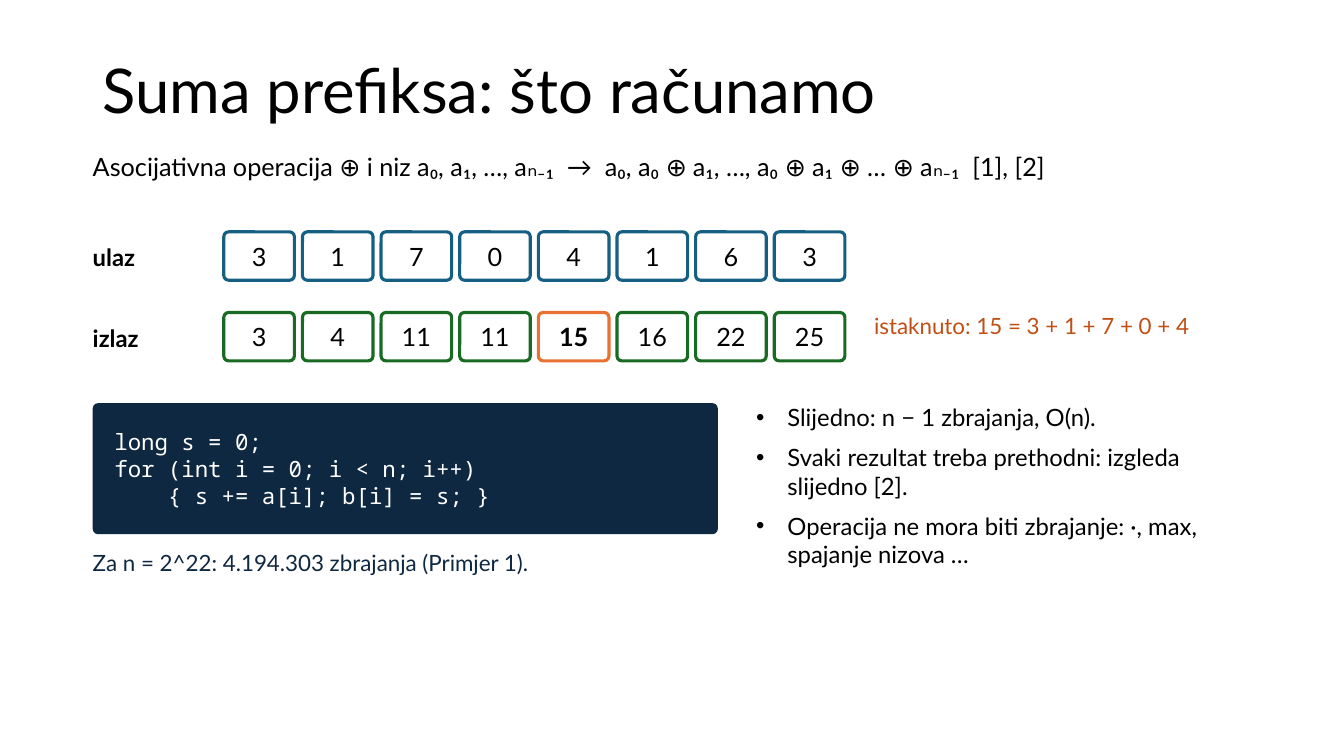
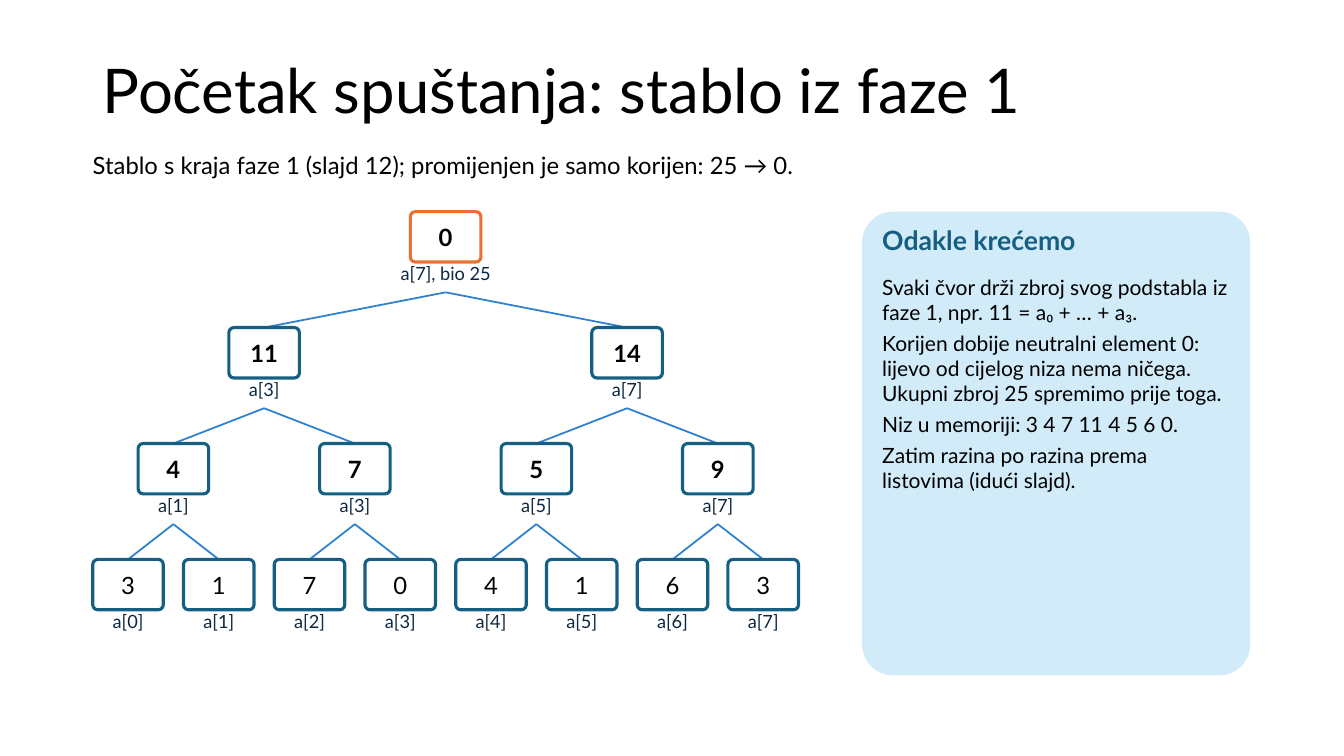
from itertools import accumulate

from lxml import etree
from pptx import Presentation, util as u
from pptx.dml.color import RGBColor
from pptx.enum import shapes, text
from pptx.oxml.ns import qn

PX = 9144  # EMU per px, 100 px to the inch
SANS, MONO = "Lato", "Noto Sans Mono"
COLORS = {
    "ink": "000000", "paper": "FFFFFF", "navy": "0E2841", "teal": "156082",
    "green": "196B24", "orange": "E97132", "rust": "C04F15",
    "link": "2D7FCF", "panel": "D1EBF8",
}
LEFT = 92
CELL_W = 70
ARRAY = [3, 1, 7, 0, 4, 1, 6, 3]
CENTER = text.PP_ALIGN.CENTER
MIDDLE = text.MSO_ANCHOR.MIDDLE


def emu(*lengths):
    return [u.Emu(round(length * PX)) for length in lengths]


def rgb(name):
    return RGBColor.from_string(COLORS[name])


def write(shape, lines, size=17, font=SANS, color="ink", bold=False, align=None,
          anchor=text.MSO_ANCHOR.TOP, insets=(0, 0, 0, 0), after=None,
          spacing=None, bullet_indent=0):
    """Fill a shape with one paragraph per line."""
    frame = shape.text_frame
    frame.word_wrap = True
    frame.vertical_anchor = anchor
    (frame.margin_left, frame.margin_top,
     frame.margin_right, frame.margin_bottom) = emu(*insets)
    lines = [lines] if isinstance(lines, str) else lines
    for i, line in enumerate(lines):
        paragraph = frame.add_paragraph() if i else frame.paragraphs[0]
        if bullet_indent:
            properties = paragraph._p.get_or_add_pPr()
            properties.set("marL", str(bullet_indent * PX))
            properties.set("indent", str(-bullet_indent * PX))
            etree.SubElement(properties, qn("a:buFont"), typeface="Arial")
            etree.SubElement(properties, qn("a:buChar"), char="•")
        paragraph.alignment = align or text.PP_ALIGN.LEFT
        if after:
            paragraph.space_after = u.Pt(after)
        if spacing:
            paragraph.line_spacing = spacing
        run = paragraph.add_run()
        run.text = line
        run.font.name, run.font.size, run.font.bold = font, u.Pt(size), bold
        run.font.color.rgb = rgb(color)


def add_text(slide, box, lines, **fmt):
    label = slide.shapes.add_textbox(*emu(*box))
    write(label, lines, **fmt)
    return label


def add_rounded(slide, box, radius, fill, line=None):
    card = slide.shapes.add_shape(shapes.MSO_SHAPE.ROUNDED_RECTANGLE, *emu(*box))
    card.adjustments[0] = radius
    card.shadow.inherit = False
    card.fill.solid()
    card.fill.fore_color.rgb = rgb(fill)
    if line:
        card.line.color.rgb = rgb(line)
        card.line.width = u.Pt(2.25)
    else:
        card.line.fill.background()
    return card


def add_cell(slide, box, value, line, **fmt):
    cell = add_rounded(slide, box, 0.1, "paper", line)
    write(cell, str(value), align=CENTER, anchor=MIDDLE, insets=(3, 5, 3, 5), **fmt)
    return cell


def add_link(slide, label, x, y, end_x, end_y):
    link = slide.shapes.add_connector(shapes.MSO_CONNECTOR.STRAIGHT,
                                      *emu(x, y, end_x, end_y))
    link.begin_connect(label, 2)
    link.line.color.rgb = rgb("link")
    link.line.width = u.Pt(1.25)
    etree.SubElement(link._element.spPr, qn("a:effectLst"))
    return link


def add_titled_slide(deck, title, lead, lead_size):
    slide = deck.slides.add_slide(deck.slide_layouts[6])
    add_text(slide, (LEFT, 40, 1150, 106), title, size=44, anchor=MIDDLE,
             insets=(10, 5, 10, 5), spacing=0.9)
    add_text(slide, (LEFT, 150, 1150, 50), lead, size=lead_size)
    return slide


def add_array_row(slide, x, y, name, values, line, highlight=None):
    add_text(slide, (x, y, 130, 50), name, bold=True, anchor=MIDDLE)
    for i, value in enumerate(values):
        marked = i == highlight
        add_cell(slide, (x + 130 + i * (CELL_W + 8), y, CELL_W, 48), value,
                 "orange" if marked else line, size=18, bold=marked)


def add_code(slide, box, lines):
    block = add_rounded(slide, box, 0.04, "navy")
    write(block, lines, size=16, font=MONO, color="paper", anchor=MIDDLE,
          insets=(20, 5, 10, 5))


def add_tree(slide, x, y, leaves):
    """Sum tree, drawn level by level, with the root reset to 0."""
    pitch, cell_h, label_h, level_h = 90, 50, 30, 115
    count = len(leaves)
    tree_left = x + (CELL_W - pitch) / 2
    links = []
    for level in range(count.bit_length()):
        nodes = 2 ** level
        group = count // nodes
        step = pitch * group
        top = y + level * level_h
        label_top = top + cell_h
        is_root, is_leaf = level == 0, group == 1
        next_links = []
        for i in range(nodes):
            center = tree_left + step * (i + 0.5)
            total = sum(leaves[i * group:(i + 1) * group])
            cell = add_cell(slide, (center - CELL_W / 2, top, CELL_W, cell_h),
                            0 if is_root else total,
                            "orange" if is_root else "teal", bold=not is_leaf)
            if links:
                links[i].end_connect(cell, 0)
            name = f"a[{(i + 1) * group - 1}]"
            label = add_text(slide, (center - 50, label_top, 100, label_h),
                             f"{name}, bio {total}" if is_root else name,
                             size=13, color="navy", align=CENTER)
            if not is_leaf:
                next_links += [
                    add_link(slide, label, center, label_top + label_h,
                             center + side * step / 4, top + level_h)
                    for side in (-1, 1)]
        links = next_links


def add_panel(slide, box, heading, lines):
    x, y, w, h = box
    add_rounded(slide, box, 0.08, "panel")
    add_text(slide, (x + 20, y + 12, w - 40, 45), heading,
             size=19, color="teal", bold=True)
    add_text(slide, (x + 20, y + 62, w - 40, h - 70), lines, size=15, after=4)


def build_prefix_slide(deck):
    slide = add_titled_slide(
        deck, "Suma prefiksa: što računamo",
        "Asocijativna operacija ⊕ i niz a₀, a₁, …, aₙ₋₁  →  "
        "a₀, a₀ ⊕ a₁, …, a₀ ⊕ a₁ ⊕ … ⊕ aₙ₋₁  [1], [2]", 18)
    # Input and its prefix sums
    add_array_row(slide, LEFT, 230, "ulaz", ARRAY, "teal")
    add_array_row(slide, LEFT, 310, "izlaz", accumulate(ARRAY), "green", highlight=4)
    add_text(slide, (867, 310, 370, 50), "istaknuto: 15 = 3 + 1 + 7 + 0 + 4",
             size=16, color="rust")
    # Sequential code and remarks
    add_code(slide, (LEFT, 400, 620, 130), [
        "long s = 0;",
        "for (int i = 0; i < n; i++)",
        "    { s += a[i]; b[i] = s; }"])
    add_text(slide, (750, 400, 490, 260), [
        "Slijedno: n − 1 zbrajanja, O(n).",
        "Svaki rezultat treba prethodni: izgleda slijedno [2].",
        "Operacija ne mora biti zbrajanje: ·, max, spajanje nizova …"],
        after=8, bullet_indent=31)
    add_text(slide, (LEFT, 545, 620, 100),
             "Za n = 2^22: 4.194.303 zbrajanja (Primjer 1).", size=16, color="navy")


def build_tree_slide(deck):
    slide = add_titled_slide(
        deck, "Početak spuštanja: stablo iz faze 1",
        "Stablo s kraja faze 1 (slajd 12); promijenjen je samo korijen: 25 → 0.", 17)
    add_tree(slide, LEFT, 210, ARRAY)
    add_panel(slide, (855, 210, 385, 460), "Odakle krećemo", [
        "Svaki čvor drži zbroj svog podstabla iz faze 1, npr. 11 = a₀ + … + a₃.",
        "Korijen dobije neutralni element 0: lijevo od cijelog niza nema ničega. "
        "Ukupni zbroj 25 spremimo prije toga.",
        "Niz u memoriji: 3 4 7 11 4 5 6 0.",
        "Zatim razina po razina prema listovima (idući slajd)."])


def main():
    deck = Presentation()
    deck.slide_width, deck.slide_height = emu(1333, 750)
    build_prefix_slide(deck)
    build_tree_slide(deck)
    deck.save("out.pptx")


if __name__ == "__main__":
    main()
